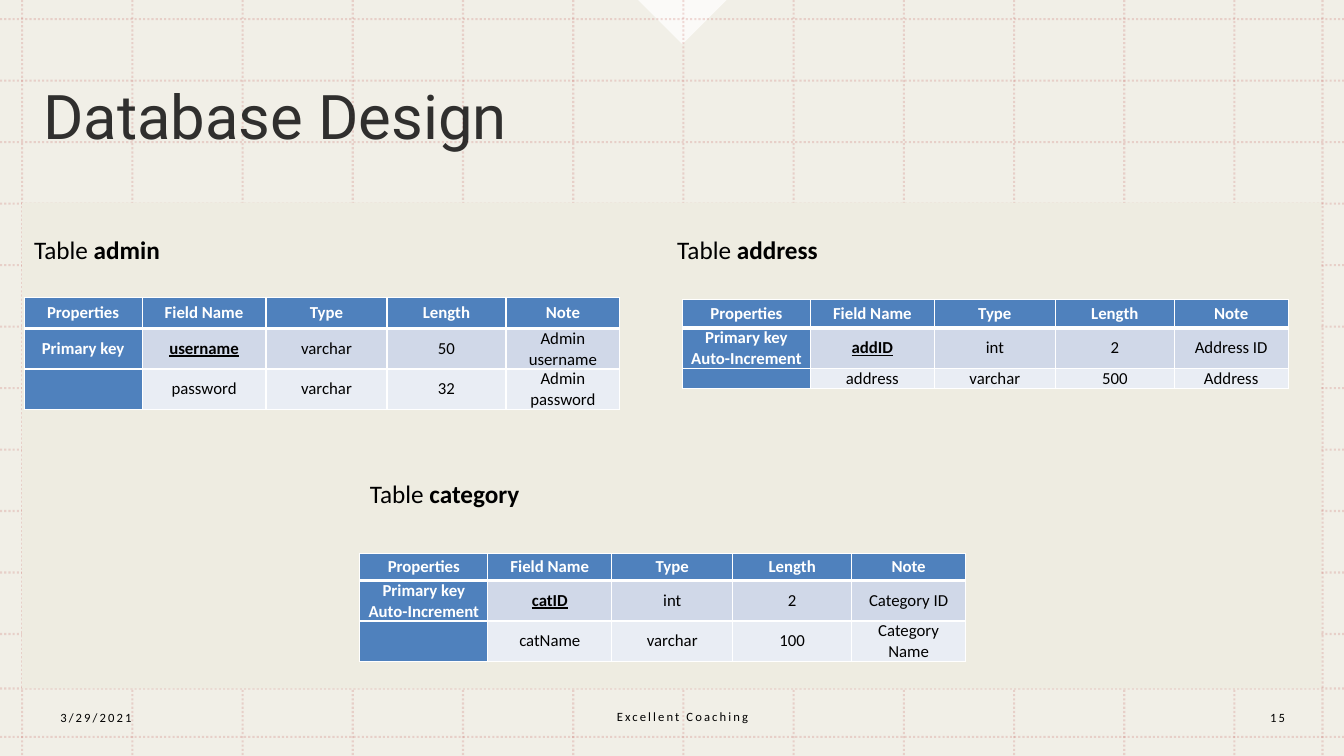
from dataclasses import dataclass

from lxml import etree
from pptx import Presentation
from pptx.dml.color import RGBColor
from pptx.enum.dml import MSO_LINE
from pptx.enum.shapes import MSO_CONNECTOR, MSO_SHAPE
from pptx.enum.text import MSO_ANCHOR, PP_ALIGN
from pptx.oxml.ns import qn
from pptx.util import Inches, Pt

STRAIGHT = MSO_CONNECTOR.STRAIGHT
RECTANGLE, RIGHT_TRIANGLE = MSO_SHAPE.RECTANGLE, MSO_SHAPE.RIGHT_TRIANGLE
DOTTED = MSO_LINE.ROUND_DOT
TOP, MIDDLE = MSO_ANCHOR.TOP, MSO_ANCHOR.MIDDLE
LEFT, CENTER = PP_ALIGN.LEFT, PP_ALIGN.CENTER

WIDTH, HEIGHT = Inches(13.33), Inches(7.5)
COLUMNS, ROWS = 40, 22.5  # square modules, a third of an inch each


@dataclass(frozen=True)
class Theme:
    paper: str = "EEECE1"
    white: str = "FFFFFF"
    ink: str = "000000"
    rule: str = "C0504D"
    header: str = "4F81BD"
    bands: tuple = ("D0D8E8", "E9EDF4")
    title_font: str = "Roboto"
    body_font: str = "Calibri"
    title_size: float = 44
    label_size: float = 18
    cell_size: float = 12
    footer_size: float = 9


def set_opacity(element, percent):
    for color in element.iter(qn("a:srgbClr")):
        etree.SubElement(color, qn("a:alpha"), val=str(percent * 1000))


def set_values(target, values):
    for name, value in values.items():
        setattr(target, name, value)


class SlideBuilder:
    """Draws elements on one slide; lengths are grid columns and rows."""

    def __init__(self, slide, theme):
        self.slide = slide
        self.theme = theme

    def x(self, columns):
        return round(WIDTH * columns / COLUMNS)

    def y(self, rows):
        return round(HEIGHT * rows / ROWS)

    def box(self, left, top, width, height):
        return self.x(left), self.y(top), self.x(width), self.y(height)

    def shape(self, kind, place, color, opacity=100, rotation=0):
        shape = self.slide.shapes.add_shape(kind, *self.box(*place))
        shape.shadow.inherit = False
        shape.rotation = rotation
        shape.fill.solid()
        shape.fill.fore_color.rgb = RGBColor.from_string(color)
        shape.line.fill.background()
        if opacity < 100:
            set_opacity(shape.element.spPr, opacity)

    def rule(self, start, end):
        connector = self.slide.shapes.add_connector(
            STRAIGHT, self.x(start[0]), self.y(start[1]), self.x(end[0]), self.y(end[1]))
        connector.line.color.rgb = RGBColor.from_string(self.theme.rule)
        set_values(connector.line, {"width": Pt(1.5), "dash_style": DOTTED})
        properties = connector.element.spPr
        set_opacity(properties, 20)
        etree.SubElement(properties, qn("a:effectLst"))

    def run(self, paragraph, text, size, color=None, font=None, **formats):
        run = paragraph.add_run()
        run.text = text
        set_values(run.font, {"size": Pt(size), "name": font or self.theme.body_font, **formats})
        run.font.color.rgb = RGBColor.from_string(color or self.theme.ink)
        return run

    def text_box(self, place, anchor=MIDDLE, align=LEFT):
        """Add an empty text box and return its first paragraph."""
        frame = self.slide.shapes.add_textbox(*self.box(*place)).text_frame
        set_values(frame, {"word_wrap": True, "vertical_anchor": anchor})
        paragraph = frame.paragraphs[0]
        paragraph.alignment = align
        return paragraph

    def title(self, place, text):
        paragraph = self.text_box(place)
        paragraph.line_spacing = 0.9
        run = self.run(paragraph, text, self.theme.title_size, font=self.theme.title_font)
        set_opacity(run.font._element, 80)

    def footer(self, place, text, align=CENTER):
        paragraph = self.text_box(place, align=align)
        run = self.run(paragraph, text, self.theme.footer_size)
        run.font._element.set("spc", "150")

    def label(self, left, top, name):
        paragraph = self.text_box((left, top, 17.73, 1.2), TOP)
        self.run(paragraph, "Table ", self.theme.label_size)
        self.run(paragraph, name, self.theme.label_size, bold=True)

    def border(self, cell, side, points):
        line = etree.SubElement(cell._tc.get_or_add_tcPr(), qn("a:" + side), w=str(Pt(points)))
        fill = etree.SubElement(line, qn("a:solidFill"))
        etree.SubElement(fill, qn("a:srgbClr"), val=self.theme.white)

    def cell(self, cell, text, row, column):
        theme = self.theme
        is_header = row == 0 or column == 0
        is_key = (row, column) == (1, 1)
        set_values(cell, {"margin_left": Inches(0.07), "margin_right": Inches(0.07),
                          "margin_top": 0, "margin_bottom": 0, "vertical_anchor": MIDDLE})
        for side in ("lnL", "lnR"):
            self.border(cell, side, 1)
        if row == 0:
            self.border(cell, "lnT", 1)
        self.border(cell, "lnB", 3 if row == 0 else 1)
        cell.fill.solid()
        cell.fill.fore_color.rgb = RGBColor.from_string(
            theme.header if is_header else theme.bands[row - 1])
        frame = cell.text_frame
        for index, line in enumerate(text.split("\n")):
            paragraph = frame.add_paragraph() if index else frame.paragraphs[0]
            paragraph.alignment = CENTER
            if line:
                self.run(paragraph, line, theme.cell_size,
                         theme.white if is_header else theme.ink,
                         bold=is_header or is_key, underline=is_key)
            else:
                etree.SubElement(paragraph._p, qn("a:endParaRPr"), sz=str(theme.cell_size * 100))

    def table(self, left, top, widths, heights, records):
        place = self.box(left, top, sum(widths), sum(heights))
        table = self.slide.shapes.add_table(len(heights), len(widths), *place).table
        for column, width in zip(table.columns, widths):
            column.width = self.x(width)
        for row, height in zip(table.rows, heights):
            row.height = self.y(height)
        for row, record in enumerate(records):
            for column, text in enumerate(record):
                self.cell(table.cell(row, column), text, row, column)


FIELD_HEADER = ("Properties", "Field Name", "Type", "Length", "Note")
FIELD_WIDTHS = (3.69, 3.6, 3.54, 3.39)
AUTO_KEY = "Primary key\nAuto-Increment"

# name, label place, table place, first column width, row heights, fields
TABLES = (
    ("admin", (0.72, 6.84), (0.72, 8.85), 3.51, (0.93, 1.19, 1.19),
     (("Primary key", "username", "varchar", "50", "Admin username"),
      ("", "password", "varchar", "32", "Admin password"))),
    ("address", (19.86, 6.84), (20.31, 8.91), 3.81, (0.85, 1.2, 0.6),
     ((AUTO_KEY, "addID", "int", "2", "Address ID"),
      ("", "address", "varchar", "500", "Address"))),
    ("category", (10.71, 14.1), (10.71, 16.47), 3.81, (0.81, 1.2, 1.2),
     ((AUTO_KEY, "catID", "int", "2", "Category ID"),
      ("", "catName", "varchar", "100", "Category Name"))),
)


def draw_background(builder):
    theme = builder.theme
    builder.shape(RECTANGLE, (0, 0, COLUMNS, ROWS), theme.paper, 80)
    builder.shape(RIGHT_TRIANGLE, (19.38, -0.93, 1.86, 1.86), theme.white, 75, 315)
    for column in [0.66 + 3.28 * index for index in range(12)] + [39.36]:
        builder.rule((column, 0), (column, ROWS))
    for row in [0.57 + 1.83 * index for index in range(11)] + [20.49, 21.93]:
        builder.rule((0, row), (COLUMNS, row))
    builder.shape(RECTANGLE, (0.66, 6.03, 38.67, 14.46), theme.paper)


def main():
    presentation = Presentation()
    set_values(presentation, {"slide_width": WIDTH, "slide_height": HEIGHT})
    slide = presentation.slides.add_slide(presentation.slide_layouts[6])
    builder = SlideBuilder(slide, Theme())
    draw_background(builder)
    builder.title((0.99, 1.11, 37.74, 4.92), "Database Design")
    builder.footer((1.5, 20.76, 8.4, 1.2), "3/29/2021", LEFT)
    builder.footer((13.77, 20.73, 13.08, 1.2), "Excellent Coaching")
    builder.footer((36.72, 20.76, 2.61, 1.2), "15")
    for name, label_place, table_place, key_width, heights, fields in TABLES:
        builder.label(*label_place, name)
        builder.table(*table_place, (key_width, *FIELD_WIDTHS), heights, (FIELD_HEADER, *fields))
    presentation.save("out.pptx")


if __name__ == "__main__":
    main()
